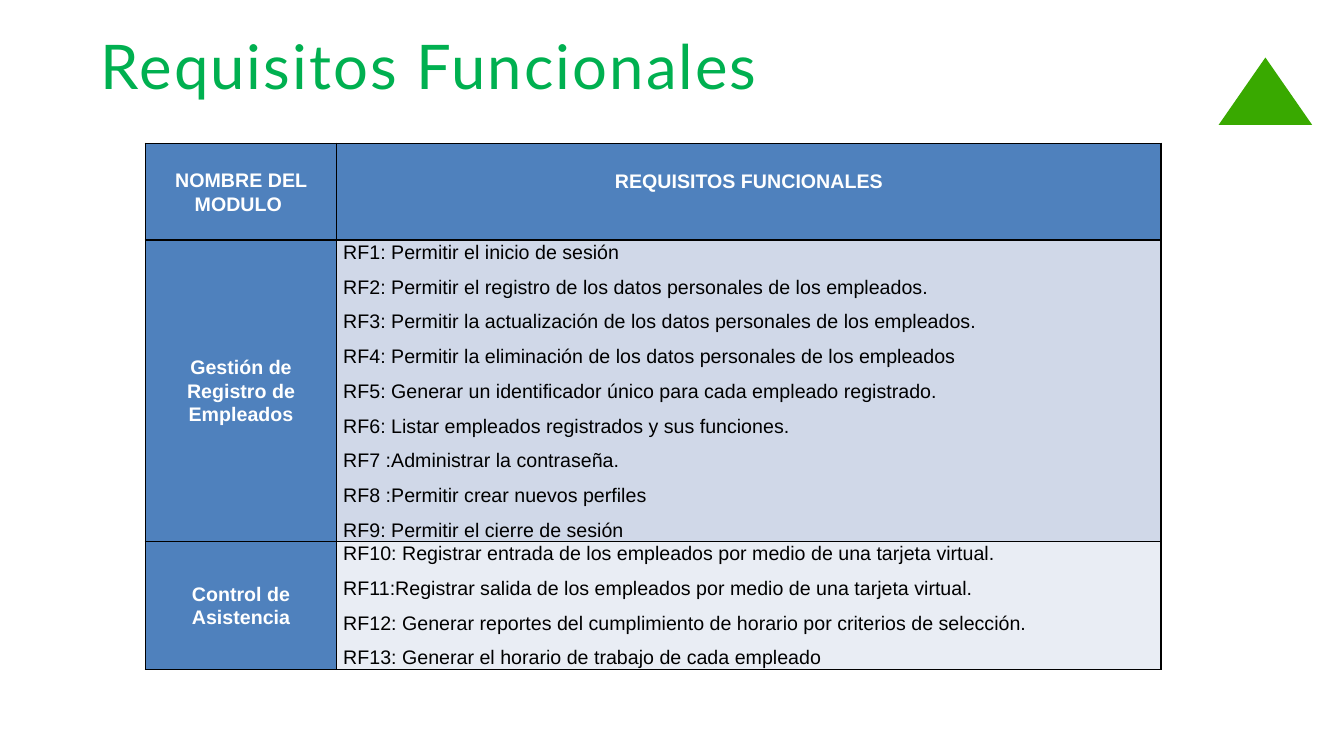
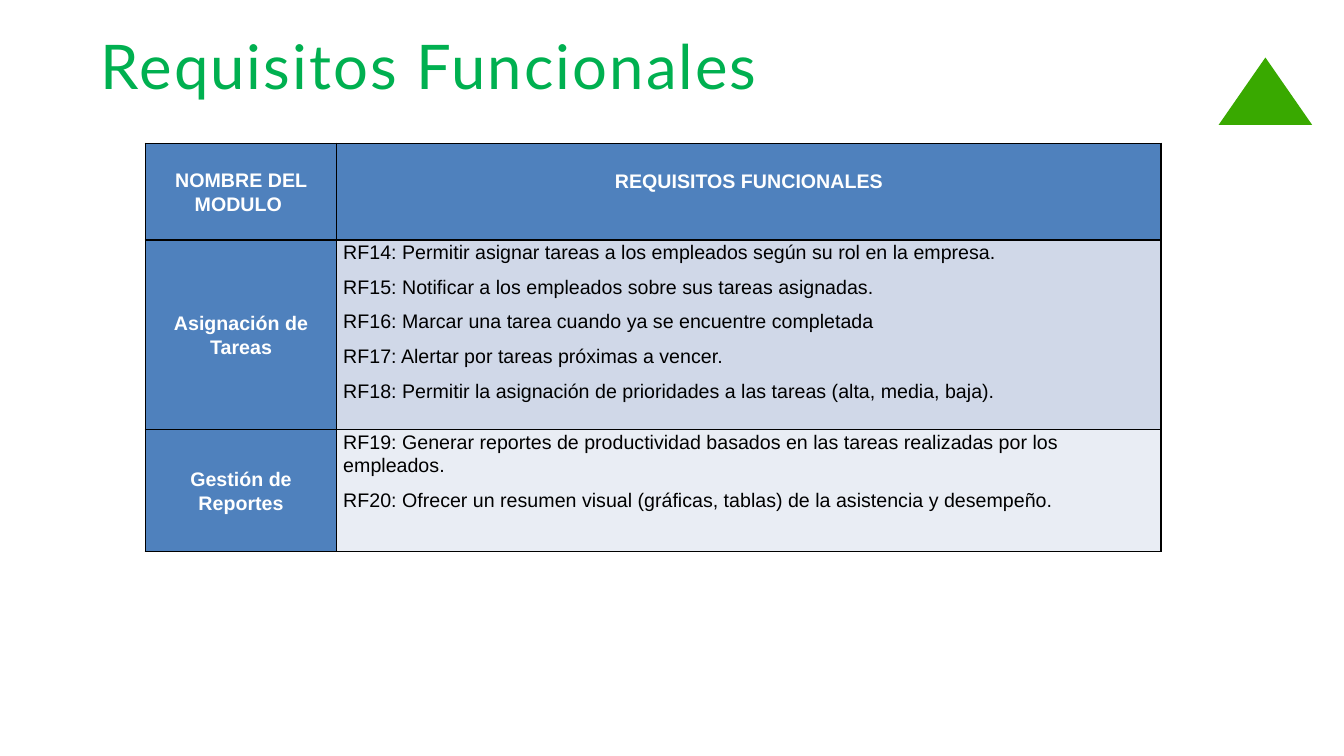
"""Build two slides of functional requirements, one table of modules on each."""
import dataclasses

import lxml.etree
import pptx
import pptx.dml.color
import pptx.enum.shapes
import pptx.enum.text
import pptx.oxml.ns
import pptx.util

Cm = pptx.util.Cm
Pt = pptx.util.Pt
Align = pptx.enum.text.PP_ALIGN
Anchor = pptx.enum.text.MSO_ANCHOR

TITLE = "Requisitos Funcionales"
HEADS = ("NOMBRE DEL MODULO ", "REQUISITOS FUNCIONALES")
DECK = [
    [
        ("Gestión de Registro de Empleados", 7.58, [
            "RF1: Permitir el inicio de sesión",
            "RF2: Permitir el registro de los datos personales de los empleados.",
            "RF3: Permitir la actualización de los datos personales de los empleados.",
            "RF4: Permitir la eliminación de los datos personales de los empleados",
            "RF5: Generar un identificador único para cada empleado registrado.",
            "RF6: Listar empleados registrados y sus funciones.",
            "RF7 :Administrar la contraseña.",
            "RF8 :Permitir crear nuevos perfiles",
            "RF9: Permitir el cierre de sesión",
        ]),
        ("Control de Asistencia", 3.22, [
            "RF10: Registrar entrada de los empleados por medio de una tarjeta virtual.",
            "RF11:Registrar salida de los empleados por medio de una tarjeta virtual.",
            "RF12: Generar reportes del cumplimiento de horario por criterios de selección.",
            "RF13: Generar el horario de trabajo de cada empleado",
        ]),
    ],
    [
        ("Asignación de Tareas", 4.78, [
            "RF14: Permitir asignar tareas a los empleados según su rol en la empresa.",
            "RF15: Notificar a los empleados sobre sus tareas asignadas.",
            "RF16: Marcar una tarea cuando ya se encuentre completada",
            "RF17: Alertar por tareas próximas a vencer.",
            "RF18: Permitir la asignación de prioridades a las tareas (alta, media, baja).",
        ]),
        ("Gestión de Reportes", 3.07, [
            "RF19: Generar reportes de productividad basados en las tareas realizadas por los empleados.",
            "RF20: Ofrecer un resumen visual (gráficas, tablas) de la asistencia y desempeño.",
        ]),
    ],
]


@dataclasses.dataclass(frozen=True)
class Theme:
    title: str = "00B050"
    badge: str = "39A900"
    head: str = "4F81BD"
    bands: tuple = ("D0D8E8", "E9EDF4")
    light: str = "FFFFFF"
    dark: str = "000000"
    big: float = 44
    small: float = 14
    display: str = "Lato"
    body: str = "Arial"


THEME = Theme()
COLS = (4.83, 20.77)
HEAD_H = 2.44
LEFT, TOP = 3.66, 3.61


def rgb(code):
    return pptx.dml.color.RGBColor.from_string(code)


def write(frame, text, *, size=THEME.small, font=THEME.body, color=THEME.dark,
          bold=False, align=Align.LEFT, line=1.07, after=8, track=0):
    lines = [text] if isinstance(text, str) else text
    for i, words in enumerate(lines):
        para = frame.add_paragraph() if i else frame.paragraphs[0]
        para.alignment = align
        para.line_spacing = line
        para.space_after = Pt(after)
        run = para.add_run()
        run.text = words
        run.font.size = Pt(size)
        run.font.name = font
        run.font.bold = bold
        run.font.color.rgb = rgb(color)
        if track:
            run.font._element.set("spc", str(round(track * 100)))


def edge(cell):
    props = cell._tc.get_or_add_tcPr()
    qn = pptx.oxml.ns.qn
    for i, side in enumerate(("lnL", "lnR", "lnT", "lnB")):
        line = lxml.etree.Element(qn("a:" + side), w=str(Pt(1)))
        fill = lxml.etree.SubElement(line, qn("a:solidFill"))
        lxml.etree.SubElement(fill, qn("a:srgbClr"), val=THEME.dark)
        props.insert(i, line)


def fill_cell(cell, text, color, *, head=False, foot=0):
    cell.margin_left = cell.margin_right = Cm(0.16)
    cell.margin_top, cell.margin_bottom = 0, Cm(foot)
    cell.vertical_anchor = Anchor.MIDDLE if head else Anchor.TOP
    cell.fill.solid()
    cell.fill.fore_color.rgb = rgb(color)
    edge(cell)
    look = dict(color=THEME.light, bold=True, align=Align.CENTER) if head else {}
    write(cell.text_frame, text, **look)


def add_grid(slide, mods):
    highs = [HEAD_H] + [high for _, high, _ in mods]
    grid = slide.shapes.add_table(
        len(highs), len(COLS), Cm(LEFT), Cm(TOP), Cm(sum(COLS)), Cm(sum(highs))).table
    for col, wide in zip(grid.columns, COLS):
        col.width = Cm(wide)
    for row, high in zip(grid.rows, highs):
        row.height = Cm(high)
    for i, (text, foot) in enumerate(zip(HEADS, (0, 0.56))):
        fill_cell(grid.cell(0, i), text, THEME.head, head=True, foot=foot)
    for i, (name, _, reqs) in enumerate(mods):
        fill_cell(grid.cell(i + 1, 0), name, THEME.head, head=True)
        fill_cell(grid.cell(i + 1, 1), reqs, THEME.bands[i % 2])


def add_frame(slide):
    title = slide.shapes.title
    title.left, title.top, title.width, title.height = map(Cm, (2.54, 0.71, 27.84, 1.88))
    frame = title.text_frame
    frame.margin_left = frame.margin_right = frame.margin_top = frame.margin_bottom = 0
    frame.auto_size = pptx.enum.text.MSO_AUTO_SIZE.NONE
    frame.vertical_anchor = Anchor.TOP
    write(frame, TITLE, size=THEME.big, font=THEME.display, color=THEME.title,
          line=1.0, after=0, track=1.5)
    badge = slide.shapes.add_shape(
        pptx.enum.shapes.MSO_SHAPE.ISOSCELES_TRIANGLE, Cm(30.71), Cm(1.45), Cm(2.36), Cm(1.7))
    badge.shadow.inherit = False
    badge.fill.solid()
    badge.fill.fore_color.rgb = rgb(THEME.badge)
    badge.line.fill.background()


def main():
    deck = pptx.Presentation()
    deck.slide_width, deck.slide_height = Cm(33.87), Cm(19.05)
    for mods in DECK:
        slide = deck.slides.add_slide(deck.slide_layouts[5])
        add_frame(slide)
        add_grid(slide, mods)
    deck.save("out.pptx")


if __name__ == "__main__":
    main()
